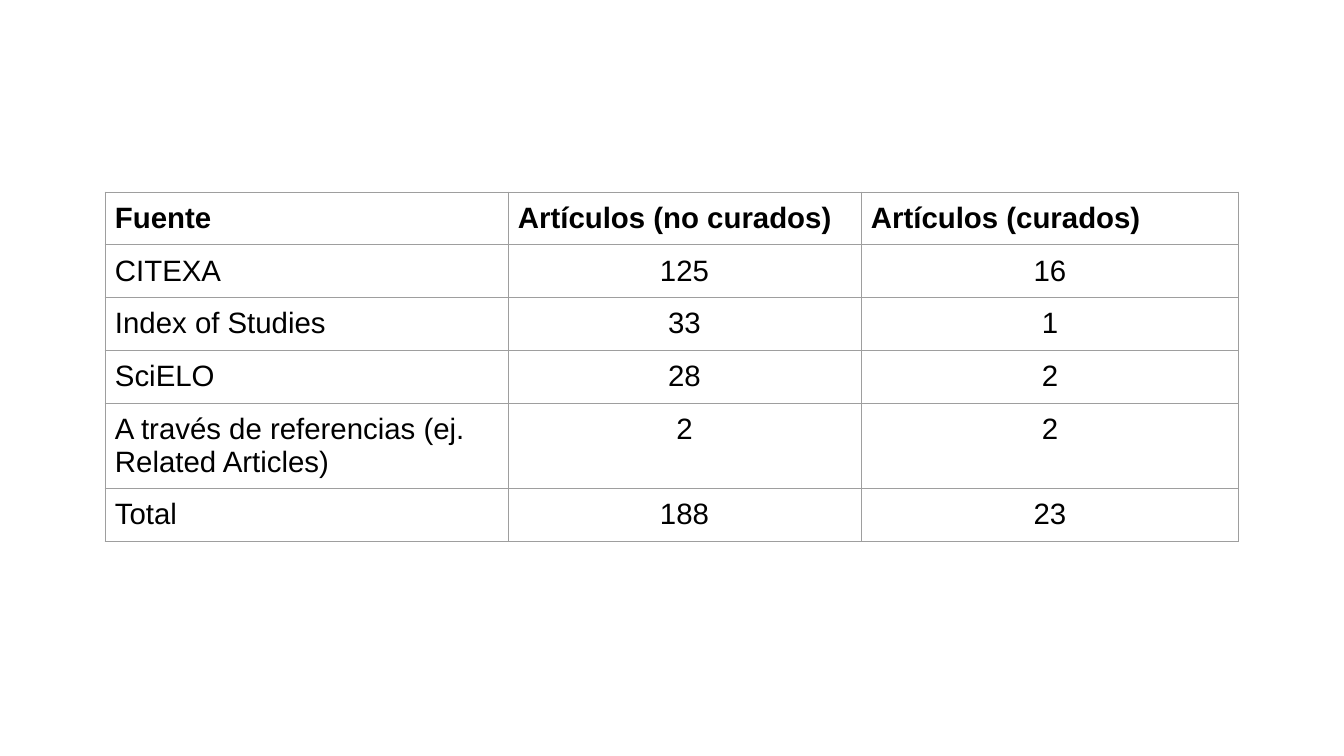
from lxml import etree
from pptx import Presentation
from pptx import util as u
from pptx.dml.color import RGBColor
from pptx.enum import text
from pptx.oxml import ns

PX = 914400 / 100.8
BLACK = RGBColor(0x00, 0x00, 0x00)
BORDER_GRAY = RGBColor(0x9E, 0x9E, 0x9E)

COLUMN_WIDTHS = [403, 353, 378]
ROW_HEIGHT = 42
CELL_MARGIN = 10
ROWS = [
    ("Fuente", "Artículos (no curados)", "Artículos (curados)"),
    ("CITEXA", "125", "16"),
    ("Index of Studies", "33", "1"),
    ("SciELO", "28", "2"),
    ("A través de referencias (ej. Related Articles)", "2", "2"),
    ("Total", "188", "23"),
]


def px(length):
    return u.Emu(round(length * PX))


def add_borders(cell):
    properties = cell._tc.get_or_add_tcPr()
    for position, side in enumerate(("lnL", "lnR", "lnT", "lnB")):
        line = etree.Element(ns.qn(f"a:{side}"), w=str(u.Pt(0.75)))
        fill = etree.SubElement(line, ns.qn("a:solidFill"))
        etree.SubElement(fill, ns.qn("a:srgbClr"), val=str(BORDER_GRAY))
        properties.insert(position, line)


presentation = Presentation()
presentation.slide_width = px(1344)
presentation.slide_height = px(756)
slide = presentation.slides.add_slide(presentation.slide_layouts[6])

table = slide.shapes.add_table(
    len(ROWS), len(COLUMN_WIDTHS), px(105), px(192),
    px(sum(COLUMN_WIDTHS)), px(ROW_HEIGHT * len(ROWS)),
).table
table.horz_banding = False

for column, width in zip(table.columns, COLUMN_WIDTHS):
    column.width = px(width)

for row_index, values in enumerate(ROWS):
    table.rows[row_index].height = px(ROW_HEIGHT)
    for column_index, value in enumerate(values):
        cell = table.cell(row_index, column_index)
        cell.text = value
        cell.fill.background()
        cell.margin_left = cell.margin_right = px(CELL_MARGIN)
        cell.margin_top = cell.margin_bottom = px(CELL_MARGIN)
        add_borders(cell)
        paragraph = cell.text_frame.paragraphs[0]
        is_number = row_index > 0 and column_index > 0
        paragraph.alignment = text.PP_ALIGN.CENTER if is_number else text.PP_ALIGN.LEFT
        paragraph.font.name = "Arial"
        paragraph.font.size = u.Pt(21)
        paragraph.font.bold = row_index == 0
        paragraph.font.color.rgb = BLACK

presentation.save("out.pptx")
